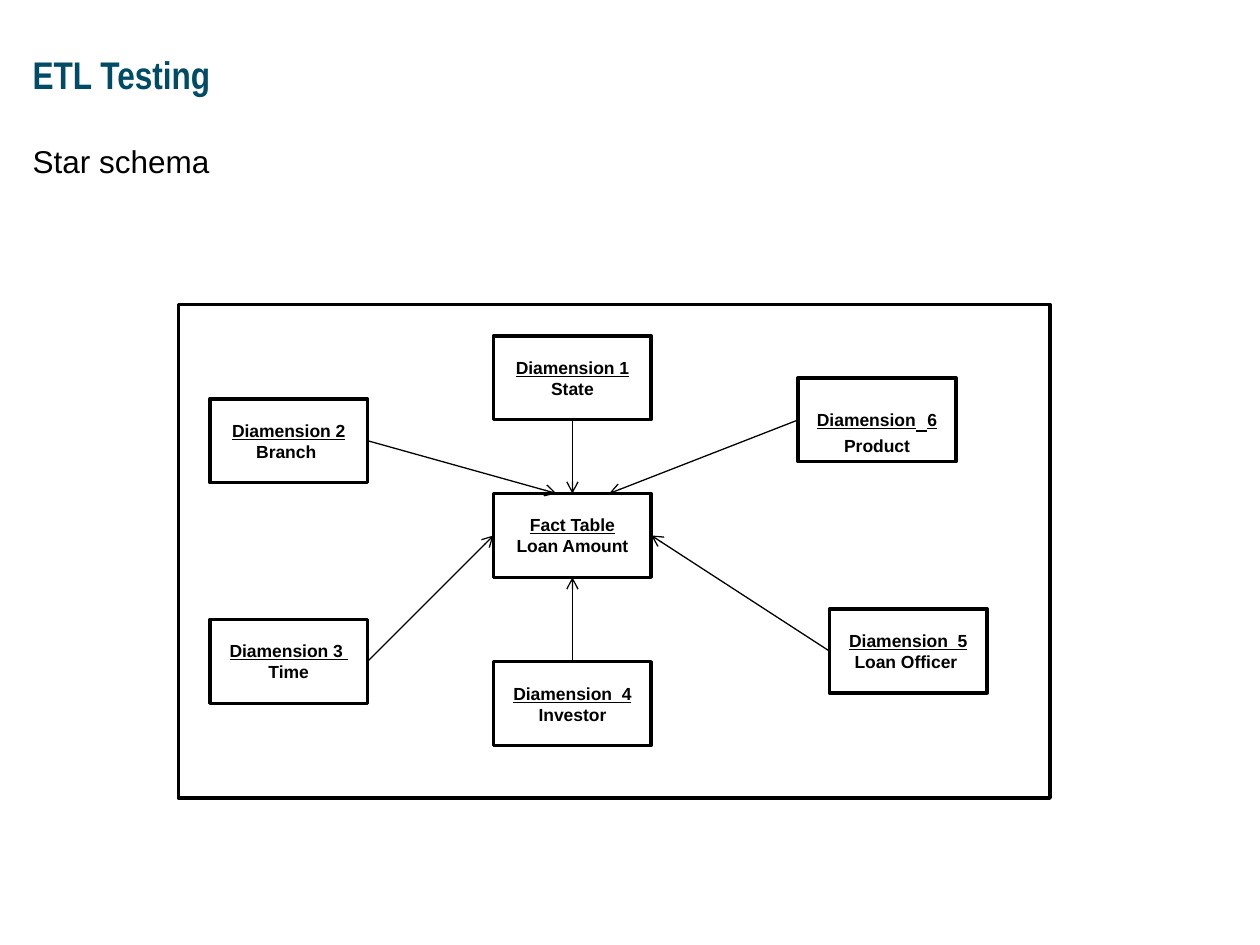
import pptx
import pptx.dml.color
import pptx.enum.shapes
import pptx.enum.text
import pptx.oxml
import pptx.oxml.ns
import pptx.util
from pptx.util import Cm

BLACK = pptx.dml.color.RGBColor(0x00, 0x00, 0x00)
WHITE = pptx.dml.color.RGBColor(0xFF, 0xFF, 0xFF)
TEAL = pptx.dml.color.RGBColor(0x00, 0x4B, 0x66)

BOX_WIDTH = Cm(3.18)
BOX_HEIGHT = Cm(1.69)
TOP, LEFT, BOTTOM, RIGHT = range(4)

FACT = ("Fact Table", "Loan Amount", 9.95, 9.95)
DIMENSIONS = [
    ("Diamension 3 ", "Time", 4.23, 12.49, RIGHT, LEFT),
    ("Diamension  4", "Investor", 9.95, 13.34, TOP, BOTTOM),
    ("Diamension  5", "Loan Officer ", 16.72, 12.28, LEFT, RIGHT),
    ("Diamension 2", "Branch ", 4.23, 8.04, RIGHT, Cm(11.22)),
    ("Diamension 1", "State", 9.95, 6.77, BOTTOM, TOP),
    ("Diamension", "Product", 16.09, 7.62, LEFT, Cm(12.28)),
]
LARGE_SPACE_HEADING = "Diamension"


def format_run(run, size, color, name="Arial", bold=False, underline=False):
    run.font.name = name
    run.font.size = pptx.util.Pt(size)
    run.font.color.rgb = color
    run.font.bold = bold
    run.font.underline = underline


def prepare_frame(text_frame):
    text_frame.word_wrap = True
    text_frame.auto_size = pptx.enum.text.MSO_AUTO_SIZE.NONE
    text_frame.margin_left = 0
    text_frame.margin_right = Cm(0.25)
    text_frame.margin_top = text_frame.margin_bottom = Cm(0.13)


def set_title(slide, text):
    title = slide.shapes.title
    title.left, title.top = Cm(0.66), Cm(0.58)
    title.width, title.height = Cm(24.2), Cm(1.52)
    prepare_frame(title.text_frame)
    title.text_frame.vertical_anchor = pptx.enum.text.MSO_ANCHOR.BOTTOM
    title.text_frame.text = text
    paragraph = title.text_frame.paragraphs[0]
    paragraph.alignment = pptx.enum.text.PP_ALIGN.LEFT
    format_run(paragraph.runs[0], 22, TEAL, "Arial Narrow", bold=True)


def add_body(slide, text):
    body = slide.shapes.add_textbox(Cm(0.66), Cm(2.74), Cm(24.13), Cm(13.97))
    prepare_frame(body.text_frame)
    body.text_frame.text = text
    paragraph = body.text_frame.paragraphs[0]
    paragraph.space_after = pptx.util.Pt(6)
    format_run(paragraph.runs[0], 18, BLACK)


def add_rectangle(slide, left, top, width, height):
    shape = slide.shapes.add_shape(
        pptx.enum.shapes.MSO_SHAPE.RECTANGLE, left, top, width, height
    )
    shape.shadow.inherit = False
    shape.fill.solid()
    shape.fill.fore_color.rgb = WHITE
    shape.line.color.rgb = BLACK
    shape.line.width = pptx.util.Pt(2)
    return shape


def add_table_box(slide, heading, content, left, top):
    shape = add_rectangle(slide, Cm(left), Cm(top), BOX_WIDTH, BOX_HEIGHT)
    text_frame = shape.text_frame
    text_frame.word_wrap = True
    text_frame.vertical_anchor = pptx.enum.text.MSO_ANCHOR.MIDDLE
    text_frame.text = f"{heading}\n{content}"
    for index, paragraph in enumerate(text_frame.paragraphs):
        paragraph.alignment = pptx.enum.text.PP_ALIGN.CENTER
        format_run(paragraph.runs[0], 10, BLACK, bold=True, underline=index == 0)
    if heading == LARGE_SPACE_HEADING:
        for text, size in ((" ", 24), ("6", 10)):
            run = text_frame.paragraphs[0].add_run()
            run.text = text
            format_run(run, size, BLACK, bold=True, underline=True)
    return shape


def add_arrow(slide, dimension, side, fact, target):
    connector = slide.shapes.add_connector(
        pptx.enum.shapes.MSO_CONNECTOR.STRAIGHT, 0, 0, target, fact.top
    )
    connector.begin_connect(dimension, side)
    if target in (TOP, LEFT, BOTTOM, RIGHT):
        connector.end_connect(fact, target)
    connector.line.color.rgb = BLACK
    connector.line.width = pptx.util.Pt(0.75)
    line = connector.line._get_or_add_ln()
    tail = pptx.oxml.parse_xml(
        f'<a:tailEnd {pptx.oxml.ns.nsdecls("a")} type="arrow"/>'
    )
    line.append(tail)
    effects = pptx.oxml.parse_xml(f'<a:effectLst {pptx.oxml.ns.nsdecls("a")}/>')
    line.addnext(effects)


def main():
    presentation = pptx.Presentation()
    presentation.slide_width = Cm(25.4)
    presentation.slide_height = Cm(19.05)
    slide = presentation.slides.add_slide(presentation.slide_layouts[5])
    set_title(slide, "ETL Testing")
    add_body(slide, "Star schema")
    add_rectangle(slide, Cm(3.6), Cm(6.14), Cm(17.57), Cm(9.95))
    fact = add_table_box(slide, *FACT)
    for heading, content, left, top, side, target in DIMENSIONS:
        dimension = add_table_box(slide, heading, content, left, top)
        add_arrow(slide, dimension, side, fact, target)
    presentation.save("out.pptx")


if __name__ == "__main__":
    main()
